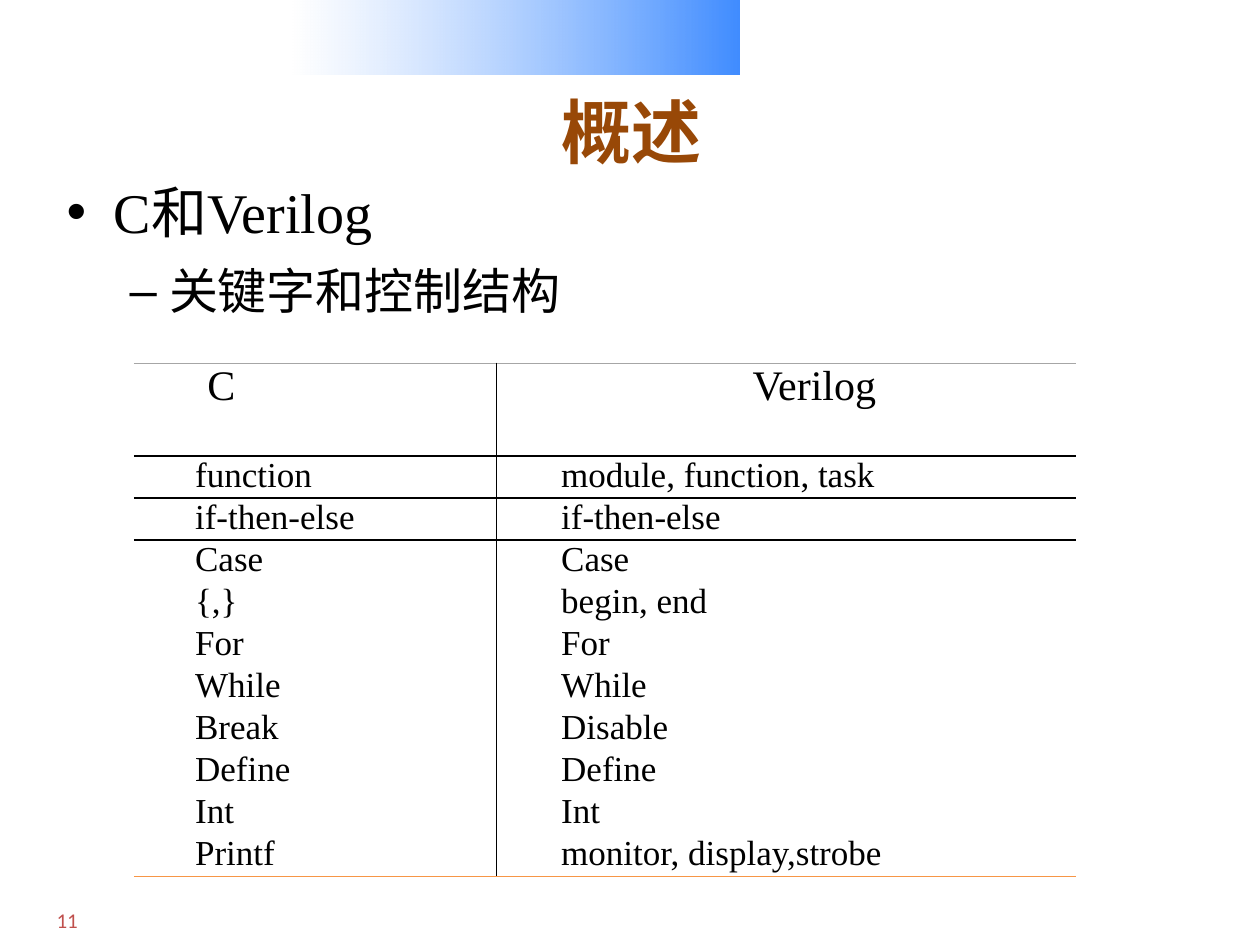
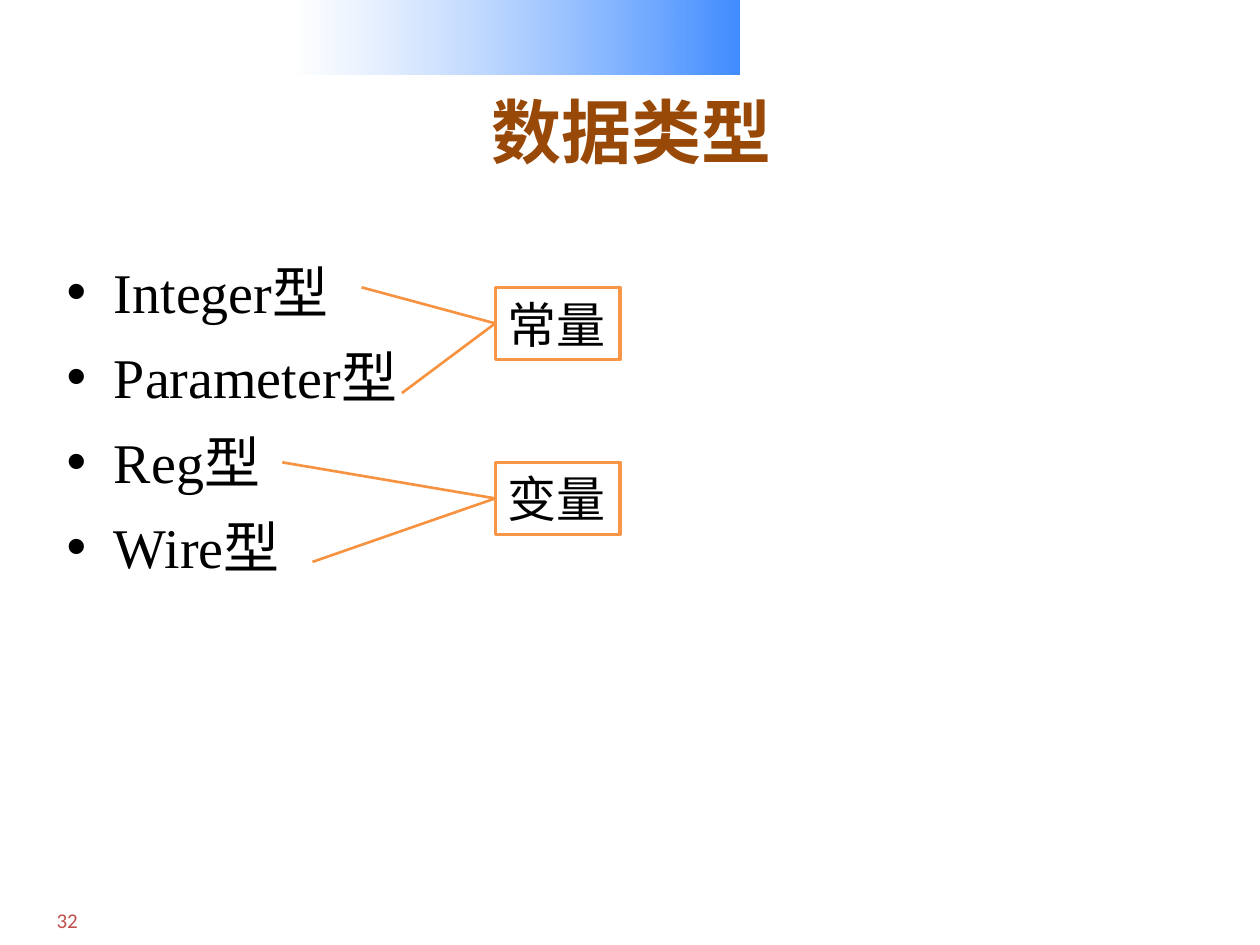
from lxml import etree
from pptx import Presentation
from pptx.dml.color import RGBColor
from pptx.enum import shapes, text
from pptx.oxml.ns import qn
from pptx.util import Pt

WHITE = RGBColor(0xFF, 0xFF, 0xFF)
BLACK = RGBColor(0, 0, 0)
BLUE = RGBColor(0x00, 0x66, 0xFF)
BROWN = RGBColor(0x98, 0x48, 0x07)
RED = RGBColor(0xC0, 0x50, 0x4D)
ORANGE = RGBColor(0xF7, 0x96, 0x46)
AMBER = RGBColor(0xF6, 0x92, 0x40)
GREY = RGBColor(0xA6, 0xA6, 0xA6)
SERIF = "Times New Roman"
PLAIN = "{2D5ABB26-0587-4C30-8999-92F81FD0307C}"
LEVELS = [("•", 32, 27, -27), ("–", 28, 58.5, -22.5)]
TERMS = [
    ("C", "Verilog"),
    ("function", "module, function, task"),
    ("if-then-else", "if-then-else"),
    ("Case", "Case"),
    ("{,}", "begin, end"),
    ("For", "For"),
    ("While", "While"),
    ("Break", "Disable"),
    ("Define", "Define"),
    ("Int", "Int"),
    ("Printf", "monitor, display,strobe"),
]


def style(para, size, color=BLACK, name=SERIF, bold=False):
    font = para.font
    font.size, font.name, font.bold = Pt(size), name, bold
    font.color.rgb = color


def indent(para, left, first):
    props = para._p.get_or_add_pPr()
    props.set("marL", str(Pt(left)))
    props.set("indent", str(Pt(first)))
    return props


def add_band(slide):
    band = slide.shapes.add_shape(shapes.MSO_SHAPE.RECTANGLE, Pt(167), 0, Pt(255.6), Pt(42.5))
    band.shadow.inherit = False
    band.line.fill.background()
    band.fill.gradient()
    band.fill.gradient_angle = 0
    looks = [(0, WHITE, 48), (1, BLUE, 75)]
    for stop, (place, color, alpha) in zip(band.fill.gradient_stops, looks):
        stop.position = place
        stop.color.rgb = color
    tints = band._element.spPr.iter(qn("a:srgbClr"))
    for tint, (_, _, alpha) in zip(tints, looks):
        etree.SubElement(tint, qn("a:alpha"), val=str(alpha * 1000))


def add_page(slide, number):
    box = slide.shapes.add_textbox(Pt(25.2), Pt(514.8), Pt(34), Pt(21.6))
    box.text_frame.word_wrap = True
    para = box.text_frame.paragraphs[0]
    para.text = str(number)
    style(para, 12, RED, "Calibri")


def add_slide(deck, title, number):
    slide = deck.slides.add_slide(deck.slide_layouts[5])
    add_band(slide)
    add_page(slide, number)
    head = slide.shapes.title
    head.left, head.top, head.width, head.height = Pt(36.7), Pt(43.2), Pt(648), Pt(62.6)
    head.text_frame.text = title
    head.text_frame.vertical_anchor = text.MSO_ANCHOR.MIDDLE
    para = head.text_frame.paragraphs[0]
    para.alignment = text.PP_ALIGN.CENTER
    style(para, 40, BROWN, bold=True)
    return slide


def add_list(slide, top, items):
    box = slide.shapes.add_textbox(Pt(31), Pt(top), Pt(648), Pt(454.3 - top))
    frame = box.text_frame
    frame.word_wrap = True
    for i, (level, words) in enumerate(items):
        para = frame.paragraphs[0] if i == 0 else frame.add_paragraph()
        mark, size, left, first = LEVELS[level]
        para.text, para.level = words, level
        para.line_spacing = 1.1
        para.space_before = Pt(size / 5)
        style(para, size)
        props = indent(para, left, first)
        font = etree.Element(qn("a:buFont"), typeface="Arial")
        sign = etree.Element(qn("a:buChar"), char=mark)
        spot = props.find(qn("a:defRPr"))
        spot.addprevious(font)
        spot.addprevious(sign)


def add_edges(cell, edges):
    props = cell._tc.get_or_add_tcPr()
    for i, (side, color, width) in enumerate(edges):
        line = etree.Element(qn("a:ln" + side), w=str(Pt(width)))
        fill = etree.SubElement(line, qn("a:solidFill"))
        etree.SubElement(fill, qn("a:srgbClr"), val=str(color))
        props.insert(i, line)


def fill_cell(cell, words, row, col):
    cell.text = words
    cell.fill.background()
    cell.margin_left = cell.margin_right = Pt(5)
    cell.margin_top = cell.margin_bottom = 0
    para = cell.text_frame.paragraphs[0]
    style(para, 20 if row else 24)
    if row == 0 and col:
        para.alignment = text.PP_ALIGN.CENTER
    indent(para, 0, 32 if col else (30 if row else 37))
    edges = [("L" if col else "R", BLACK, 1)]
    if row == 0:
        edges.append(("T", GREY, 0.5))
    elif row < 3:
        edges.append(("T", BLACK, 1))
    if row < 2:
        edges.append(("B", BLACK, 1))
    elif row == len(TERMS) - 1:
        edges.append(("B", ORANGE, 1))
    add_edges(cell, edges)


def add_terms(slide):
    high, low = 53.2, 22.2
    frame = slide.shapes.add_table(len(TERMS), 2, Pt(76.5), Pt(207.4),
                                   Pt(538.5), Pt(high + low * 10))
    table = frame.table
    table.first_row = table.horz_banding = False
    table._tbl.tblPr.find(qn("a:tableStyleId")).text = PLAIN
    table.columns[0].width, table.columns[1].width = Pt(207.2), Pt(331.3)
    for r, pair in enumerate(TERMS):
        table.rows[r].height = Pt(low if r else high)
        for c, words in enumerate(pair):
            fill_cell(table.cell(r, c), words, r, c)


def add_group(slide, top, words, starts):
    left, width, height = 283, 71.3, 41.2
    box = slide.shapes.add_shape(shapes.MSO_SHAPE.RECTANGLE,
                                 Pt(left), Pt(top), Pt(width), Pt(height))
    box.shadow.inherit = False
    box.fill.solid()
    box.fill.fore_color.rgb = WHITE
    box.line.color.rgb = ORANGE
    box.line.width = Pt(2)
    box.text_frame.word_wrap = False
    para = box.text_frame.paragraphs[0]
    para.text = words
    para.alignment = text.PP_ALIGN.LEFT
    style(para, 28, name="Arial")
    for x, y in starts:
        line = slide.shapes.add_connector(shapes.MSO_CONNECTOR.STRAIGHT, Pt(x), Pt(y),
                                          Pt(left), Pt(top + height / 2))
        line.line.color.rgb = AMBER
        line.line.width = Pt(1.5)
        etree.SubElement(line._element.spPr, qn("a:effectLst"))


def main():
    deck = Presentation()
    deck.slide_width, deck.slide_height = Pt(720), Pt(540)

    slide = add_slide(deck, "概述", 11)
    add_list(slide, 94.3, [(0, "C和Verilog"), (1, "关键字和控制结构")])
    add_terms(slide)

    slide = add_slide(deck, "数据类型", 32)
    kinds = ["Integer型", "Parameter型", "Reg型", "Wire型"]
    add_list(slide, 139.7, [(0, kind) for kind in kinds])
    add_group(slide, 164.2, "常量", [(206.6, 164.2), (229.7, 224.6)])
    add_group(slide, 264.2, "变量", [(161.3, 264.2), (178.6, 321.1)])

    deck.save("out.pptx")


main()
